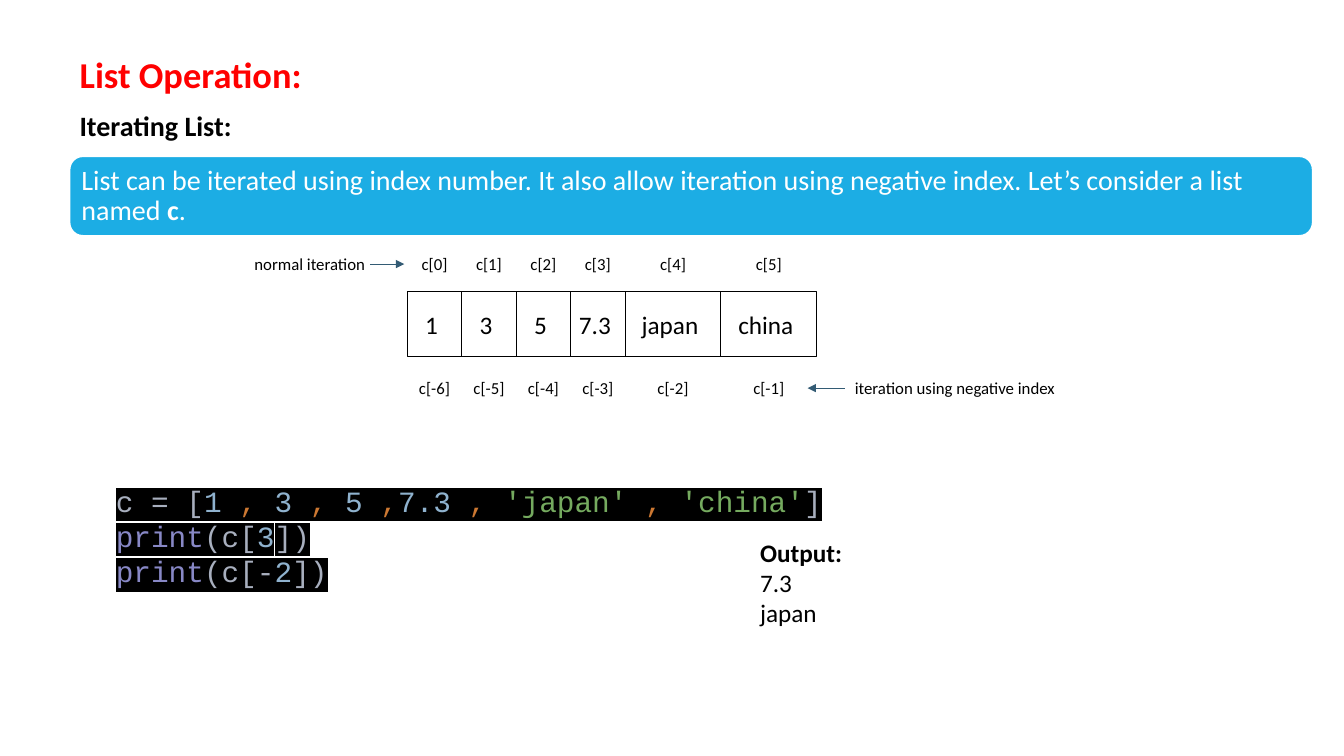
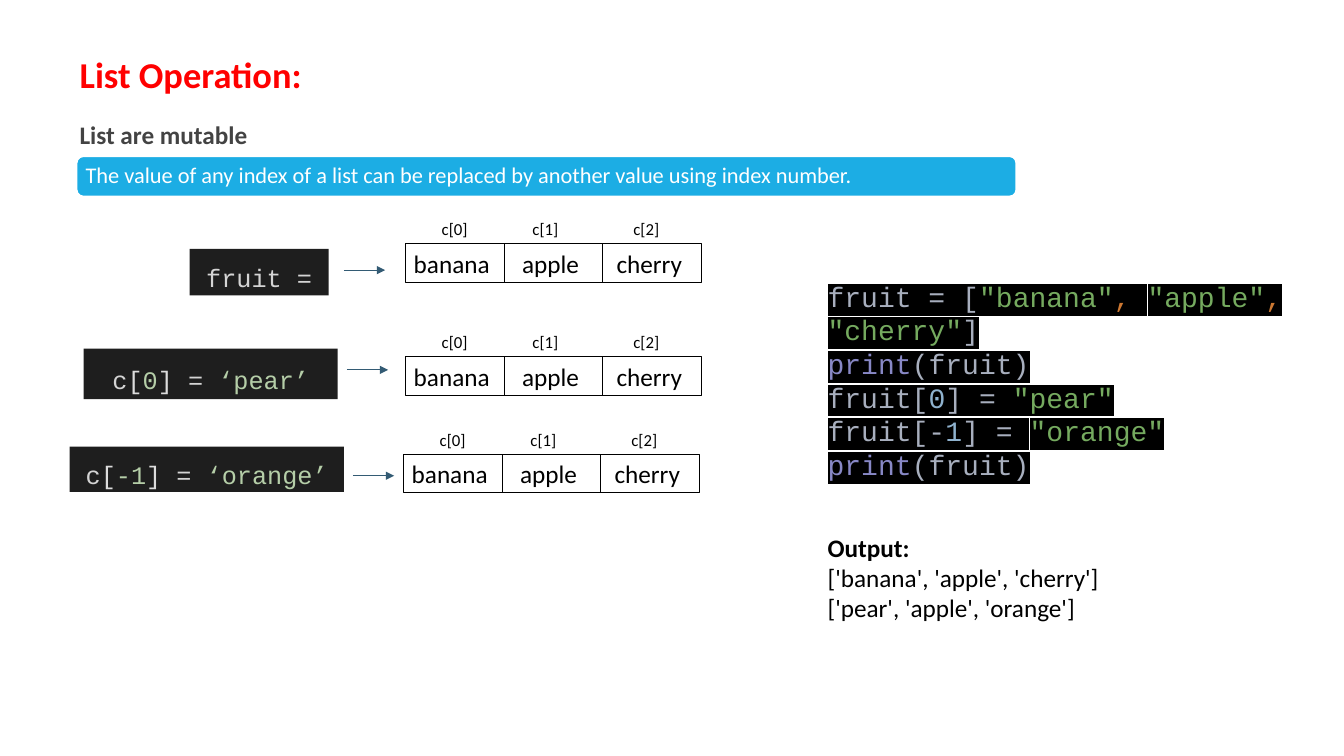
from itertools import accumulate

from lxml.etree import SubElement
from pptx import Presentation
from pptx.dml.color import RGBColor
from pptx.enum.shapes import MSO_CONNECTOR as Connector, MSO_SHAPE as Shape
from pptx.enum.text import MSO_ANCHOR as Anchor, MSO_AUTO_SIZE as AutoSize, PP_ALIGN as Align
from pptx.oxml.ns import qn
from pptx.util import Inches, Pt

COLORS = {
    "title": "FF0000",
    "ink": "000000",
    "grey": "434343",
    "white": "FFFFFF",
    "band": "1CADE4",
    "arrow": "335B74",
    "editor": "1E1E1E",
    "code": "A8AFBE",
    "number": "8FB2CE",
    "comma": "CC7832",
    "string": "75AA5F",
    "builtin": "8888C6",
    "editor_text": "D4D4D4",
    "bracket": "DCDCDC",
    "literal": "B5CEA8",
}
BODY_FONT = "Calibri"
CODE_FONT = "Courier New"
LEFT_MARGIN = 0.69


def rgb(name):
    return RGBColor.from_string(COLORS[name])


def apply(target, formats):
    for name, value in formats.items():
        setattr(target, name, value)


class ListSlides:
    def __init__(self):
        self.deck = Presentation()
        apply(self.deck, {"slide_width": Inches(13.33), "slide_height": Inches(7.5)})
        self.page = None

    def new_page(self, title):
        self.page = self.deck.slides.add_slide(self.deck.slide_layouts[5])
        box = self.page.shapes.title
        place = (LEFT_MARGIN, 0.47, 3.08, 0.54)
        apply(box, dict(zip(("left", "top", "width", "height"), map(Inches, place))))
        self.fill_text(box, [title], 26, "title", bold=True)

    def fill_text(self, box, lines, size, color, font=BODY_FONT, bold=False, highlight=None,
                  anchor=Anchor.TOP, insets=(0.1, 0.05, 0.1, 0.05), **paragraph):
        frame = box.text_frame
        left, top, right, bottom = map(Inches, insets)
        apply(frame, {
            "word_wrap": True, "auto_size": AutoSize.NONE, "vertical_anchor": anchor,
            "margin_left": left, "margin_top": top,
            "margin_right": right, "margin_bottom": bottom,
        })
        for index, line in enumerate(lines):
            para = frame.add_paragraph() if index else frame.paragraphs[0]
            apply(para, {"alignment": Align.LEFT, **paragraph})
            for text, kind in [(line, None)] if isinstance(line, str) else line:
                span = para.add_run()
                span.text = text
                apply(span.font, {"name": font, "size": Pt(size), "bold": bold or kind == "bold"})
                span.font.color.rgb = rgb(kind if kind in COLORS else color)
                if highlight:
                    self.mark(span, highlight)

    def mark(self, span, color):
        fill = span.font._element.find(qn("a:solidFill"))
        marker = fill.makeelement(qn("a:highlight"), {})
        SubElement(marker, qn("a:srgbClr"), val=COLORS[color])
        fill.addnext(marker)

    def text(self, place, lines, size, color="ink", **formats):
        box = self.page.shapes.add_textbox(*map(Inches, place))
        self.fill_text(box, lines, size, color, **formats)

    def code(self, place, lines, size):
        self.text(place, lines, size, "code", font=CODE_FONT, highlight="ink")

    def output(self, place, lines):
        self.text(place, [[("Output:", "bold")], *lines], 18)

    def shape(self, kind, place, fill=None, line=None, width=0.75):
        box = self.page.shapes.add_shape(kind, *map(Inches, place))
        box.shadow.inherit = False
        if fill:
            box.fill.solid()
            box.fill.fore_color.rgb = rgb(fill)
        else:
            box.fill.background()
        if line:
            box.line.color.rgb = rgb(line)
            box.line.width = Pt(width)
        else:
            box.line.fill.background()
        return box

    def band(self, place, line, size, inset):
        box = self.shape(Shape.ROUNDED_RECTANGLE, place, "band", "white", 1.25)
        self.fill_text(box, [line], size, "white", anchor=Anchor.MIDDLE,
                       insets=(inset,) * 4, line_spacing=0.9)

    def editor(self, place, line):
        box = self.shape(Shape.RECTANGLE, place, "editor")
        self.fill_text(box, [line], 18, "editor_text", font=CODE_FONT, highlight="editor",
                       anchor=Anchor.MIDDLE, insets=(0.1,) * 4,
                       alignment=Align.CENTER, line_spacing=1.36)

    def cells(self, left, top, widths, height, values):
        starts = list(accumulate(widths, initial=left))
        for start, width, value in zip(starts, widths, values):
            box = self.shape(Shape.RECTANGLE, (start, top, width, height), line="ink")
            self.fill_text(box, [value], 18, "ink", anchor=Anchor.MIDDLE,
                           insets=(0, 0, 0.06, 0), alignment=Align.CENTER)
        return [start + width / 2 for start, width in zip(starts, widths)]

    def indexes(self, centers, middle, numbers):
        for center, number in zip(centers, numbers):
            self.text((center - 0.3, middle - 0.15, 0.6, 0.3), [f"c[{number}]"], 12,
                      anchor=Anchor.MIDDLE, insets=(0,) * 4, alignment=Align.CENTER)

    def arrow(self, start, end, y):
        line = self.page.shapes.add_connector(
            Connector.STRAIGHT, Inches(start), Inches(y), Inches(end), Inches(y))
        line.line.color.rgb = rgb("arrow")
        line.line.width = Pt(0.75)
        properties = line._element.spPr
        SubElement(properties.find(qn("a:ln")), qn("a:tailEnd"), type="triangle")
        SubElement(properties, qn("a:effectLst"))


def iterating_page(slides):
    slides.new_page("List Operation:")
    slides.text((LEFT_MARGIN, 1.03, 2.88, 0.44), ["Iterating List:"], 20, bold=True)
    slides.band((LEFT_MARGIN, 1.55, 12.33, 0.79), [
        ("List can be iterated using index number. It also allow iteration using negative "
         "index. Let’s consider a list named ", None),
        ("c", "bold"), (".", None),
    ], 20, 0.08)

    values = ["1", "3", "5", "7.3", "japan", "china"]
    centers = slides.cells(4.04, 2.89, [0.54] * 4 + [0.95] * 2, 0.65, values)
    slides.indexes(centers, 2.62, range(6))
    slides.indexes(centers, 3.85, range(-6, 0))
    note = {"anchor": Anchor.MIDDLE, "insets": (0.1,) * 4}
    slides.text((1.44, 2.33, 2.28, 0.57), ["normal iteration"], 12,
                alignment=Align.RIGHT, **note)
    slides.text((8.38, 3.53, 2.42, 0.63), ["iteration using negative index"], 12, **note)
    slides.arrow(3.67, 4.01, 2.62)
    slides.arrow(8.38, 8.01, 3.85)

    slides.code((1.05, 4.74, 7.85, 1.46), [
        [("c = [", "code"), ("1 ", "number"), (", ", "comma"), ("3 ", "number"),
         (", ", "comma"), ("5 ", "number"), (",", "comma"), ("7.3 ", "number"),
         (", ", "comma"), ("'japan' ", "string"), (", ", "comma"),
         ("'china'", "string"), ("]", "code")],
        [("print", "builtin"), ("(c[", "code"), ("3", "number"), ("])", "code")],
        [("print", "builtin"), ("(c[-", "code"), ("2", "number"), ("])", "code")],
    ], 21)
    slides.output((7.44, 5.28, 5.8, 1.01), ["7.3", "japan"])


def mutable_page(slides):
    slides.new_page("List Operation:")
    slides.text((LEFT_MARGIN, 1.04, 8.42, 0.54), ["List are mutable"], 18, "grey",
                bold=True, insets=(0.1,) * 4, line_spacing=1.15)
    slides.band((0.76, 1.55, 9.32, 0.4),
                "The value of any index of a list can be replaced by another value "
                "using index number.", 16, 0.07)

    def assignment(index, value):
        return [("c", "editor_text"), ("[", "bracket"), (index, "literal"),
                ("]", "bracket"), (" = ", "editor_text"), (value, "literal")]

    steps = [
        ((1.88, 2.47, 1.38, 0.46), "fruit =", 3.41, 2.68, 4.02, 2.42),
        ((0.83, 3.46, 2.52, 0.5), assignment("0", "‘pear’"), 3.44, 3.67, 4.02, 3.54),
        ((0.69, 4.43, 2.72, 0.45), assignment("-1", "‘orange’"), 3.5, 4.72, 4, 4.51),
    ]
    for place, line, arrow_start, arrow_y, left, top in steps:
        slides.editor(place, line)
        slides.arrow(arrow_start, arrow_start + 0.41, arrow_y)
        centers = slides.cells(left, top, [0.98] * 3, 0.38, ["banana", "apple", "cherry"])
        shifted = [center - shift for center, shift in zip(centers, (0, 0.08, 0.06))]
        slides.indexes(shifted, top - 0.15, range(3))

    show_fruit = [("print", "builtin"), ("(fruit)", "code")]
    slides.code((8.11, 2.72, 4.93, 2.09), [
        [("fruit = [", "code"), ('"banana"', "string"), (", ", "comma"),
         ('"apple"', "string"), (", ", "comma"), ('"cherry"', "string"), ("]", "code")],
        show_fruit,
        [("fruit[", "code"), ("0", "number"), ("] = ", "code"), ('"pear"', "string")],
        [("fruit[-", "code"), ("1", "number"), ("] = ", "code"), ('"orange"', "string")],
        show_fruit,
    ], 20)
    slides.output((8.11, 5.23, 4.41, 1.01),
                  ["['banana', 'apple', 'cherry']", "['pear', 'apple', 'orange']"])


def main():
    slides = ListSlides()
    iterating_page(slides)
    mutable_page(slides)
    slides.deck.save("out.pptx")


if __name__ == "__main__":
    main()
